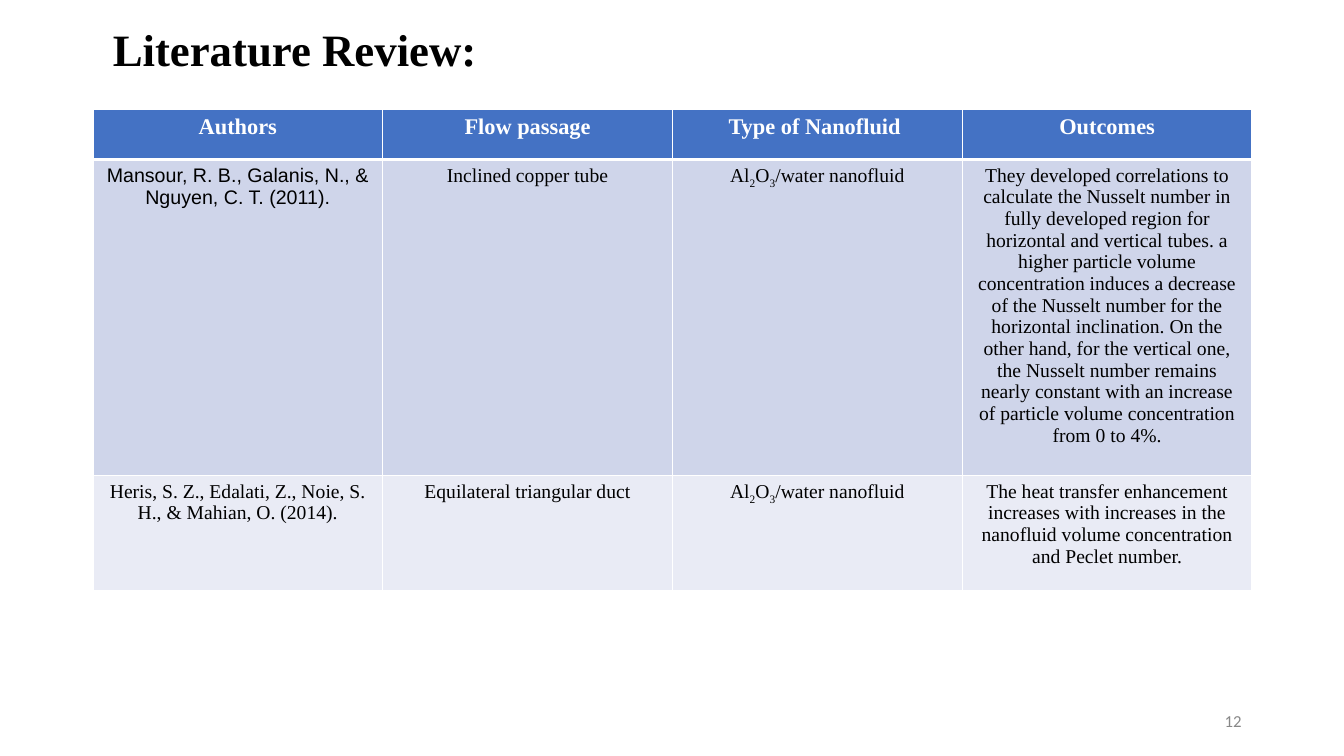
from dataclasses import dataclass

from lxml import etree
from pptx import Presentation
from pptx.dml.color import RGBColor
from pptx.enum.text import MSO_ANCHOR, PP_ALIGN
from pptx.oxml.ns import qn
from pptx.util import Pt

CENTER, LEFT, RIGHT = PP_ALIGN.CENTER, PP_ALIGN.LEFT, PP_ALIGN.RIGHT
MIDDLE = MSO_ANCHOR.MIDDLE


@dataclass(frozen=True)
class Theme:
    serif: str = "Times New Roman"
    sans: str = "Arial"
    number_font: str = "Calibri"
    ink: str = "000000"
    white: str = "FFFFFF"
    gray: str = "888888"
    header_fill: str = "4472C4"
    row_fills: tuple = ("CFD5EA", "E9EBF5")
    title_size: int = 32
    header_size: int = 16
    body_size: int = 14
    number_size: int = 12


THEME = Theme()
COLUMN_WIDTH = 207
ROW_HEIGHTS = (36, 208.8, 82)
HEADERS = ("Authors", "Flow passage", "Type of Nanofluid ", "Outcomes")
STUDIES = (
    ("Mansour, R. B., Galanis, N., & Nguyen, C. T. (2011).",
     "Inclined copper tube",
     "Al_2_O_3_/water nanofluid",
     "They developed correlations to calculate the Nusselt number in fully "
     "developed region for horizontal and vertical tubes. a higher particle "
     "volume concentration induces a decrease of the Nusselt number for the "
     "horizontal inclination. On the other hand, for the vertical one, the "
     "Nusselt number remains nearly constant with an increase of particle "
     "volume concentration from 0 to 4%."),
    ("Heris, S. Z., Edalati, Z., Noie, S. H., & Mahian, O. (2014).",
     "Equilateral triangular duct",
     "Al_2_O_3_/water nanofluid",
     "The heat transfer enhancement increases with increases in the "
     "nanofluid volume concentration and Peclet number."),
)


def write(frame, text, font, size, color, bold=False, align=LEFT):
    """Fill the first paragraph; text between underscores is subscript."""
    para = frame.paragraphs[0]
    para.alignment = align
    for index, part in enumerate(text.split("_")):
        span = para.add_run()
        span.text = part
        span.font.name = font
        span.font.size = Pt(size)
        span.font.bold = bold
        span.font.color.rgb = RGBColor.from_string(color)
        if index % 2:
            span.font._element.set("baseline", "-25000")
    return para


def add_text(page, left, top, width, height, *style, **options):
    box = page.shapes.add_textbox(Pt(left), Pt(top), Pt(width), Pt(height))
    frame = box.text_frame
    frame.word_wrap = True
    frame.vertical_anchor = MIDDLE
    return write(frame, *style, **options)


def set_borders(cell, bottom=1, top=1):
    properties = cell._tc.get_or_add_tcPr()
    widths = {"a:lnL": 1, "a:lnR": 1, "a:lnT": top, "a:lnB": bottom}
    for position, (tag, width) in enumerate(widths.items()):
        line = etree.Element(qn(tag), w=str(Pt(width)))
        fill = etree.SubElement(line, qn("a:solidFill"))
        etree.SubElement(fill, qn("a:srgbClr"), val=THEME.white)
        properties.insert(position, line)


def style_cell(cell, fill, **borders):
    cell.fill.solid()
    cell.fill.fore_color.rgb = RGBColor.from_string(fill)
    set_borders(cell, **borders)


def add_review_table(page, left, top):
    table = page.shapes.add_table(
        len(ROW_HEIGHTS), len(HEADERS), Pt(left), Pt(top),
        Pt(COLUMN_WIDTH * len(HEADERS)), Pt(sum(ROW_HEIGHTS))).table
    for column in table.columns:
        column.width = Pt(COLUMN_WIDTH)
    for row, height in zip(table.rows, ROW_HEIGHTS):
        row.height = Pt(height)

    for cell, header in zip(table.rows[0].cells, HEADERS):
        style_cell(cell, THEME.header_fill, bottom=3)
        write(cell.text_frame, header, THEME.serif, THEME.header_size,
              THEME.white, bold=True, align=CENTER)

    for number, study in enumerate(STUDIES):
        for column, text in enumerate(study):
            cell = table.cell(number + 1, column)
            style_cell(cell, THEME.row_fills[number], top=1 if number else 3)
            font = THEME.sans if number == column == 0 else THEME.serif
            write(cell.text_frame, text, font, THEME.body_size, THEME.ink,
                  align=CENTER)


def main():
    deck = Presentation()
    deck.slide_width, deck.slide_height = Pt(960), Pt(540)
    page = deck.slides.add_slide(deck.slide_layouts[6])
    title = add_text(page, 73.5, 18, 776, 38, "Literature Review:",
                     THEME.serif, THEME.title_size, THEME.ink, bold=True)
    title.line_spacing = 0.9
    add_text(page, 678, 500.5, 216, 28.75, "12", THEME.number_font,
             THEME.number_size, THEME.gray, align=RIGHT)
    add_review_table(page, 66.4, 78)
    deck.save("out.pptx")


if __name__ == "__main__":
    main()
